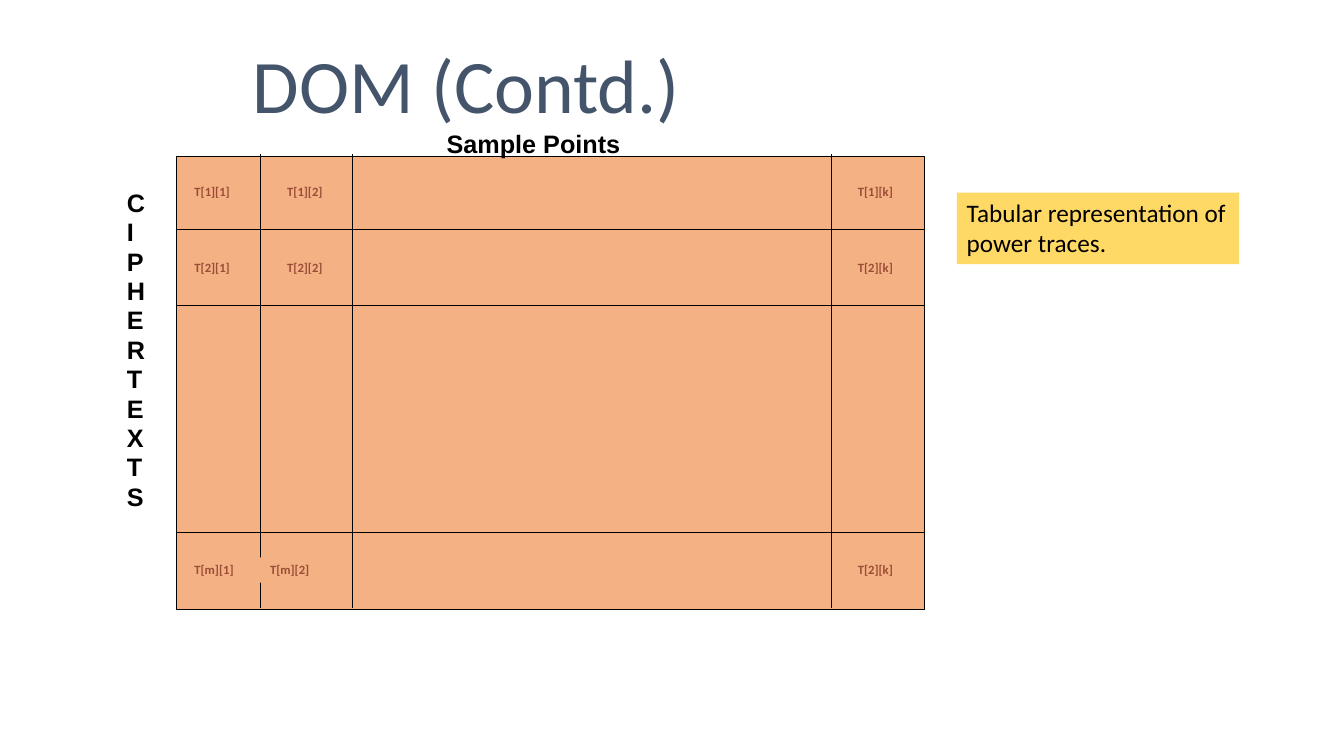
"""Build the slide showing power traces as a table of ciphertexts and sample points."""
from dataclasses import dataclass

from lxml import etree
from pptx import Presentation
from pptx.dml.color import RGBColor
from pptx.enum.shapes import MSO_CONNECTOR, MSO_SHAPE
from pptx.enum.text import MSO_ANCHOR, PP_ALIGN
from pptx.oxml.ns import qn
from pptx.util import Inches, Pt

RECTANGLE = MSO_SHAPE.RECTANGLE
STRAIGHT = MSO_CONNECTOR.STRAIGHT
LEFT = PP_ALIGN.LEFT
TOP = MSO_ANCHOR.TOP
MIDDLE = MSO_ANCHOR.MIDDLE


@dataclass(frozen=True)
class Theme:
    """Colours, fonts and type sizes of the slide."""
    title_color: RGBColor = RGBColor.from_string("44546A")
    grid_fill: RGBColor = RGBColor.from_string("F4B183")
    label_color: RGBColor = RGBColor.from_string("9B4C37")
    note_fill: RGBColor = RGBColor.from_string("FFD966")
    ink: RGBColor = RGBColor.from_string("000000")
    body_font: str = "Calibri"
    axis_font: str = "Arial"
    title_size: Pt = Pt(54)
    text_size: Pt = Pt(18)
    label_size: Pt = Pt(9)
    line_width: Pt = Pt(0.75)


class SlideBuilder:
    """Draws styled elements on one slide."""

    def __init__(self, slide, theme):
        """Keep the slide and its theme."""
        self.slide = slide
        self.theme = theme

    def rectangle(self, box, fill, outlined=False):
        """Add a filled rectangle, with a thin outline if asked."""
        shape = self.slide.shapes.add_shape(RECTANGLE, *map(Inches, box))
        shape.shadow.inherit = False
        shape.fill.solid()
        shape.fill.fore_color.rgb = fill
        if outlined:
            shape.line.color.rgb = self.theme.ink
            shape.line.width = self.theme.line_width
        else:
            shape.line.fill.background()
        return shape

    def line(self, start, end):
        """Add a thin straight line between two points."""
        connector = self.slide.shapes.add_connector(
            STRAIGHT, *map(Inches, (*start, *end)))
        connector.line.color.rgb = self.theme.ink
        connector.line.width = self.theme.line_width
        etree.SubElement(connector._element.spPr, qn("a:effectLst"))

    def set_text(self, shape, lines, size, color, font, bold=False, anchor=TOP):
        """Put left-aligned paragraphs into a shape and return them."""
        frame = shape.text_frame
        frame.word_wrap = True
        frame.vertical_anchor = anchor
        frame.text = "\n".join(lines)
        for paragraph in frame.paragraphs:
            paragraph.alignment = LEFT
            paragraph.font.size = size
            paragraph.font.name = font
            paragraph.font.bold = bold
            paragraph.font.color.rgb = color
        return frame.paragraphs

    def text_box(self, box):
        """Add an empty text box."""
        return self.slide.shapes.add_textbox(*map(Inches, box))

    def title(self, box, text):
        """Add the slide title."""
        theme = self.theme
        paragraphs = self.set_text(self.text_box(box), [text], theme.title_size,
                                   theme.title_color, theme.body_font, anchor=MIDDLE)
        paragraphs[0].line_spacing = 0.9

    def axis_across(self, box, text, indent):
        """Add the heading above the grid, indented from the box edge."""
        theme = self.theme
        shape = self.text_box(box)
        shape.text_frame.margin_left = Inches(indent)
        self.set_text(shape, [text], theme.text_size, theme.ink, theme.axis_font, True)

    def axis_down(self, box, word):
        """Add a heading with one letter on each line."""
        theme = self.theme
        paragraphs = self.set_text(self.text_box(box), word, theme.text_size,
                                   theme.ink, theme.axis_font, True)
        for position, paragraph in enumerate(paragraphs):
            paragraph.line_spacing = Pt(12)
            paragraph.space_before = Pt(9 if position else 0)

    def cell_label(self, box, text):
        """Add a small label inside a grid cell."""
        theme = self.theme
        self.set_text(self.rectangle(box, theme.grid_fill), [text], theme.label_size,
                      theme.label_color, theme.body_font, True)

    def note(self, box, text):
        """Add a highlighted note."""
        theme = self.theme
        self.set_text(self.rectangle(box, theme.note_fill), [text], theme.text_size,
                      theme.ink, theme.body_font)


def main():
    """Build and save the presentation."""
    presentation = Presentation()
    presentation.slide_width = Inches(13.33)
    presentation.slide_height = Inches(7.5)
    slide = presentation.slides.add_slide(presentation.slide_layouts[6])
    theme = Theme()
    builder = SlideBuilder(slide, theme)

    builder.title((2.41, 0.56, 8.2, 0.65), "DOM (Contd.)")

    builder.rectangle((1.75, 1.55, 7.42, 4.5), theme.grid_fill, outlined=True)
    for x in (2.58, 3.5, 8.25):
        builder.line((x, 1.53), (x, 6.03))
    for y in (2.28, 3.03, 5.28):
        builder.line((1.75, y), (9.16, y))

    label_rows = (
        (1.78, ((1.83, 0.58, "T[1][1]"), (2.75, 0.58, "T[1][2]"), (8.41, 0.58, "T[1][k]"))),
        (2.53, ((1.83, 0.58, "T[2][1]"), (2.75, 0.58, "T[2][2]"), (8.41, 0.58, "T[2][k]"))),
        (5.53, ((1.83, 0.67, "T[m][1]"), (2.58, 0.75, "T[m][2]"), (8.41, 0.58, "T[2][k]"))),
    )
    for top, labels in label_rows:
        for left, width, text in labels:
            builder.cell_label((left, top, width, 0.25), text)

    builder.axis_across((3.08, 1.22, 4.25, 0.4), "Sample Points", indent=1.35)
    builder.axis_down((1.16, 1.94, 0.58, 3.44), "CIPHERTEXTS")
    builder.note((9.49, 1.91, 2.8, 0.71), "Tabular representation of power traces.")

    presentation.save("out.pptx")


if __name__ == "__main__":
    main()
